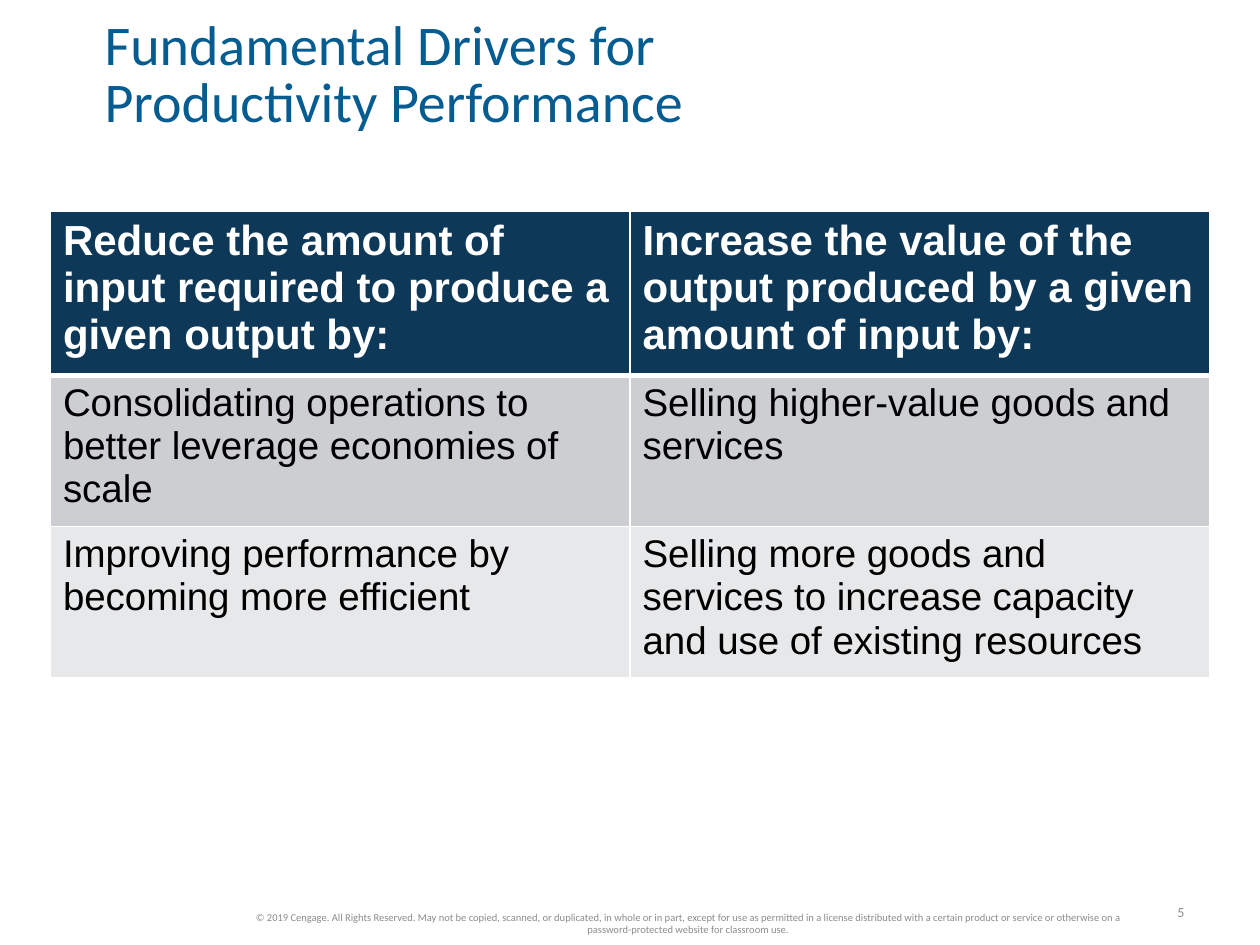
from dataclasses import dataclass

from lxml import etree
from pptx import Presentation, util as u
from pptx.dml.color import RGBColor
from pptx.enum import text
from pptx.oxml.ns import qn

WIDE, HIGH = 10, 7.5


@dataclass(frozen=True)
class Theme:
    """Colours, fonts and type sizes of the slide."""
    title: str = "055C91"
    head: str = "0D3857"
    bands: tuple = ("CCCED1", "E7E8EA")
    white: str = "FFFFFF"
    ink: str = "000000"
    faint: str = "8C8C8C"
    sans: str = "Calibri"
    body: str = "Arial"
    big: int = 32
    top: int = 24
    cell: int = 22
    page: int = 8
    fine: int = 6


T = Theme()
ROWS = [
    ("Reduce the amount of input required to produce a given output by:",
     "Increase the value of the output produced by a given amount of input by:"),
    ("Consolidating operations to better leverage economies of scale",
     "Selling higher-value goods and services"),
    ("Improving performance by becoming more efficient",
     "Selling more goods and services to increase capacity and use of existing resources"),
]
TITLE = "Fundamental Drivers for \vProductivity Performance"
NOTICE = ("© 2019 Cengage. All Rights Reserved. May not be copied, scanned, or duplicated, "
          "in whole or in part, except for use as permitted in a license distributed with a "
          "certain product or service or otherwise on a password-protected website for "
          "classroom use.")


def put(item, vals):
    """Set each attribute named in a dict."""
    for name, val in vals.items():
        setattr(item, name, val)


def style(para, face, size, hue, bold=False):
    """Set the font of every run in a paragraph."""
    for run in para.runs:
        put(run.font, {"name": face, "size": u.Pt(size), "bold": bold})
        run.font.color.rgb = RGBColor.from_string(hue)


def label(slide, area, words, font, para, frame):
    """Add a text box placed by shares of the slide."""
    x, y, w, h = area
    box = slide.shapes.add_textbox(u.Inches(x * WIDE), u.Inches(y * HIGH),
                                   u.Inches(w * WIDE), u.Inches(h * HIGH))
    put(box.text_frame, {"word_wrap": True, "vertical_anchor": text.MSO_ANCHOR.MIDDLE, **frame})
    line = box.text_frame.paragraphs[0]
    line.text = words
    put(line, para)
    style(line, *font)


def edge(cell, side, width):
    """Draw one white border of a cell."""
    prop = cell._tc.get_or_add_tcPr()
    rule = etree.Element(qn(f"a:ln{side}"), w=str(u.Pt(width)))
    fill = etree.SubElement(rule, qn("a:solidFill"))
    etree.SubElement(fill, qn("a:srgbClr"), val=T.white)
    prop.append(rule)


def paint(cell, words, row):
    """Fill a cell with text, colour and borders."""
    head = row == 0
    cell.text = words
    font = (T.top, T.white, True) if head else (T.cell, T.ink)
    style(cell.text_frame.paragraphs[0], T.body, *font)
    for side in "LRTB":
        thick = (head and side == "B") or (row == 1 and side == "T")
        edge(cell, side, 3 if thick else 1)
    cell.fill.solid()
    hue = T.head if head else T.bands[(row - 1) % 2]
    cell.fill.fore_color.rgb = RGBColor.from_string(hue)


def grid(slide, rows, left, top, highs):
    """Add a table of equal columns centred on the slide."""
    cols = len(rows[0])
    width = WIDE - 2 * left
    table = slide.shapes.add_table(len(rows), cols, u.Inches(left), u.Inches(top),
                                   u.Inches(width), u.Inches(sum(highs))).table
    for col in table.columns:
        col.width = u.Inches(width / cols)
    for r, (row, high) in enumerate(zip(rows, highs)):
        table.rows[r].height = u.Inches(high)
        for c, words in enumerate(row):
            paint(table.cell(r, c), words, r)


def main():
    """Build and save the slide."""
    deck = Presentation()
    put(deck, {"slide_width": u.Inches(WIDE), "slide_height": u.Inches(HIGH)})
    slide = deck.slides.add_slide(deck.slide_layouts[6])
    flush = dict.fromkeys(("margin_left", "margin_right", "margin_top", "margin_bottom"), 0)
    label(slide, (0.92, 0.95, 0.03, 0.03), "5", (T.sans, T.page, T.faint),
          {"alignment": text.PP_ALIGN.RIGHT}, {"word_wrap": False})
    grid(slide, ROWS, 0.4, 1.68, (1.29, 1.2, 1.2))
    label(slide, (0.083, 0.02, 0.878, 0.123), TITLE, (T.sans, T.big, T.title),
          {"line_spacing": 0.85}, flush)
    label(slide, (0.175, 0.959, 0.742, 0.036), NOTICE, (T.sans, T.fine, T.faint),
          {"alignment": text.PP_ALIGN.CENTER}, {})
    deck.save("out.pptx")


if __name__ == "__main__":
    main()
